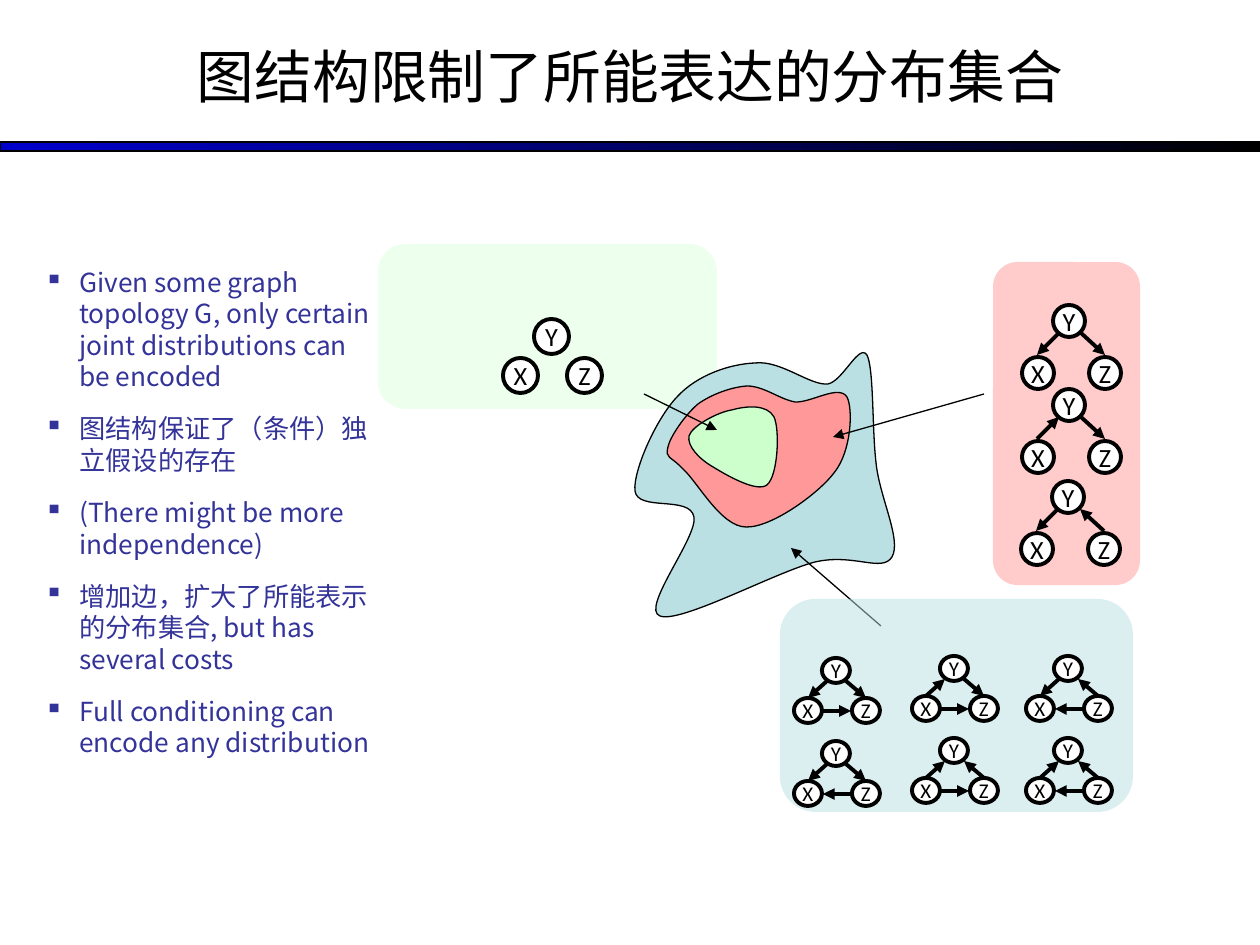
"""Builds a slide on how graph structure limits the distributions it can encode."""
import dataclasses

import pptx
import pptx.dml.color
import pptx.enum.dml
import pptx.enum.shapes
import pptx.enum.text
import pptx.oxml
import pptx.oxml.ns
import pptx.util

EMU_PER_PX = 914400 / 126
SHAPE = pptx.enum.shapes.MSO_SHAPE
ALIGN = pptx.enum.text.PP_ALIGN
ANCHOR = pptx.enum.text.MSO_ANCHOR


@dataclasses.dataclass(frozen=True)
class Theme:
    """Colours, fonts, type sizes and line widths of the slide."""
    black: str = "000000"
    white: str = "FFFFFF"
    blue: str = "0000CC"
    ink: str = "333399"
    green: str = "CCFFCC"
    red: str = "FF9999"
    teal: str = "BBE0E3"
    text_font: str = "Noto Sans CJK SC"
    node_font: str = "Calibri"
    title_size: int = 33
    body_size: int = 15
    small_size: int = 12
    leading: int = 18
    thin: float = 0.75
    thick: float = 2.25


@dataclasses.dataclass(frozen=True)
class GraphStyle:
    """Node size, node offsets and edge offsets of a three-node graph."""
    node: tuple
    offsets: dict
    edges: tuple
    size: int


THEME = Theme()

BULLETS = (
    "Given some graph topology G, only certain joint distributions can be encoded",
    "图结构保证了（条件）独立假设的存在",
    "(There might be more independence)",
    "增加边，扩大了所能表示的分布集合, but has several costs",
    "Full conditioning can encode any distribution",
)

REGIONS = (
    (THEME.teal, [
        (828, 384), (810, 386), (781, 360), (755, 363), (730, 364), (697, 375), (677, 397),
        (656, 419), (633, 471), (635, 491), (638, 512), (690, 495), (694, 517),
        (698, 537), (640, 609), (660, 616), (680, 624), (776, 572), (815, 562),
        (854, 553), (882, 573), (892, 557), (902, 540), (879, 496), (876, 462),
        (872, 428), (874, 369), (867, 355), (859, 343), (843, 381), (828, 384)]),
    (THEME.red, [
        (683, 469), (697, 481), (721, 527), (746, 527), (771, 528), (818, 494), (834, 473),
        (852, 451), (853, 408), (847, 397), (839, 384), (811, 403), (795, 402),
        (779, 399), (764, 386), (747, 386), (732, 387), (712, 394), (698, 404),
        (685, 415), (670, 437), (668, 447), (665, 459), (670, 455), (683, 469)]),
    (THEME.green, [
        (732, 410), (718, 412), (692, 426), (689, 436), (687, 446), (699, 459), (713, 467),
        (726, 475), (757, 493), (767, 485), (778, 476), (780, 430), (774, 417),
        (767, 404), (746, 406), (732, 410)]),
)

POINTERS = ((644, 394, 717, 430), (881, 626, 791, 548), (984, 394, 833, 437))

EMPTY_GRAPH = GraphStyle((35, 35), {"X": (0, 39), "Y": (31, 0), "Z": (64, 39)},
                         (), THEME.body_size)
CHAIN_GRAPH = GraphStyle((32, 32), {"X": (0, 52), "Y": (31, 0), "Z": (67, 52)},
                         ((37, 28, 15, 50), (59, 28, 83, 50)), THEME.body_size)
FULL_GRAPH = GraphStyle((28, 25), {"X": (0, 40), "Y": (28, 0), "Z": (58, 40)},
                        ((33, 23, 14, 40), (52, 23, 72, 40), (29, 53, 57, 53)),
                        THEME.small_size)

EMPTY_GRAPHS = ((503, 319, ""),)
CHAIN_GRAPHS = ((1022, 305, ">>"), (1022, 389, "<>"), (1021, 481, "><"))
FULL_GRAPHS = (
    (794, 658, ">>>"), (912, 656, "<>>"), (1026, 656, "><<"),
    (794, 741, ">><"), (912, 738, "<<>"), (1026, 738, "<<<"),
)


def px(*lengths):
    """Turn pixel lengths into EMU."""
    return [pptx.util.Emu(round(length * EMU_PER_PX)) for length in lengths]


def rgb(value):
    """Return a colour object."""
    return pptx.dml.color.RGBColor.from_string(value)


def add_xml(parent, tag, **attributes):
    """Append a DrawingML element to its parent."""
    element = pptx.oxml.parse_xml(f"<{tag} {pptx.oxml.ns.nsdecls('a')}/>")
    for name, value in attributes.items():
        element.set(name, str(value))
    parent.append(element)
    return element


def write_text(para, text, *, size, font=THEME.text_font, color=THEME.black,
               align=ALIGN.CENTER):
    """Write one formatted run into a paragraph."""
    para.alignment = align
    span = para.add_run()
    span.text = text
    span.font.size = pptx.util.Pt(size)
    span.font.name = font
    span.font.color.rgb = rgb(color)
    add_xml(span.font._element, "a:ea", typeface=font)


def style_shape(shape, color, line=None, opacity=None):
    """Set fill, outline and opacity of a shape without shadow."""
    shape.shadow.inherit = False
    shape.fill.solid()
    shape.fill.fore_color.rgb = rgb(color)
    if opacity:
        color_node = next(shape._element.spPr.iter(pptx.oxml.ns.qn("a:srgbClr")))
        add_xml(color_node, "a:alpha", val=opacity * 1000)
    if line:
        shape.line.color.rgb = rgb(THEME.black)
        shape.line.width = pptx.util.Pt(line)
    else:
        shape.line.fill.background()


def add_arrow(shapes, ends, width, end="tailEnd"):
    """Draw a straight line with an arrowhead at one end."""
    arrow = shapes.add_connector(pptx.enum.shapes.MSO_CONNECTOR.STRAIGHT, *px(*ends))
    arrow.line.color.rgb = rgb(THEME.black)
    arrow.line.width = pptx.util.Pt(width)
    add_xml(arrow.line._get_or_add_ln(), f"a:{end}", type="triangle")
    add_xml(arrow._element.spPr, "a:effectLst")


def add_region(shapes, color, points):
    """Draw a closed outline of cubic curves."""
    builder = shapes.build_freeform(*points[0], scale=EMU_PER_PX)
    builder.add_line_segments(points[1:])
    region = builder.convert_to_shape()
    style_shape(region, color, THEME.thin)
    segments = list(region._element.iter(pptx.oxml.ns.qn("a:lnTo")))
    for start in range(0, len(segments), 3):
        curve = add_xml(segments[start].getparent(), "a:cubicBezTo")
        segments[start].addprevious(curve)
        for segment in segments[start:start + 3]:
            curve.append(segment[0])
            segment.getparent().remove(segment)


def add_graph(shapes, left, top, directions, style):
    """Draw nodes X, Y and Z and their directed edges."""
    for name, (across, down) in style.offsets.items():
        node = shapes.add_shape(SHAPE.OVAL, *px(left + across, top + down, *style.node))
        style_shape(node, THEME.white, THEME.thick)
        frame = node.text_frame
        frame.word_wrap = False
        frame.vertical_anchor = ANCHOR.MIDDLE
        write_text(frame.paragraphs[0], name, size=style.size, font=THEME.node_font)
    for (x1, y1, x2, y2), direction in zip(style.edges, directions):
        add_arrow(shapes, (left + x1, top + y1, left + x2, top + y2), THEME.thick,
                  "tailEnd" if direction == ">" else "headEnd")


def add_panel(slide, bounds, color, opacity, style, graphs):
    """Group a translucent rounded panel with its graphs."""
    shapes = slide.shapes.add_group_shape().shapes
    panel = shapes.add_shape(SHAPE.ROUNDED_RECTANGLE, *px(*bounds))
    style_shape(panel, color, opacity=opacity)
    for left, top, directions in graphs:
        add_graph(shapes, left, top, directions, style)


def add_title(slide, text):
    """Place the title and the gradient bar below it."""
    bar = slide.shapes.add_shape(SHAPE.RECTANGLE, *px(0, 142, 1260, 9))
    style_shape(bar, THEME.blue, THEME.thin)
    bar.fill.gradient()
    bar.fill.gradient_angle = 0
    for stop, color in zip(bar.fill.gradient_stops, (THEME.blue, THEME.black)):
        stop.color.rgb = rgb(color)
    title = slide.shapes.title
    title.left, title.top, title.width, title.height = px(0, -4, 1260, 158)
    title.text_frame.vertical_anchor = ANCHOR.MIDDLE
    write_text(title.text_frame.paragraphs[0], text, size=THEME.title_size)


def add_bullets(slide, bounds, items):
    """Place the bulleted list."""
    frame = slide.shapes.add_textbox(*px(*bounds)).text_frame
    frame.word_wrap = True
    for index, item in enumerate(items):
        para = frame.add_paragraph() if index else frame.paragraphs[0]
        properties = para._p.get_or_add_pPr()
        indent = px(35)[0]
        properties.set("marL", str(indent))
        properties.set("indent", str(-indent))
        add_xml(add_xml(properties, "a:buClr"), "a:srgbClr", val=THEME.ink)
        add_xml(properties, "a:buChar", char="▪")
        para.line_spacing = pptx.util.Pt(THEME.leading)
        if index:
            para.space_before = pptx.util.Pt(11.75)
        write_text(para, item, size=THEME.body_size, color=THEME.ink, align=ALIGN.LEFT)


def main():
    """Build and save the deck."""
    deck = pptx.Presentation()
    deck.slide_width, deck.slide_height = px(1260, 945)
    slide = deck.slides.add_slide(deck.slide_layouts[5])
    add_title(slide, "图结构限制了所能表达的分布集合")
    add_panel(slide, (378, 244, 339, 165), THEME.green, 34, EMPTY_GRAPH, EMPTY_GRAPHS)
    add_bullets(slide, (32, 260, 355, 640), BULLETS)
    for color, points in REGIONS:
        add_region(slide.shapes, color, points)
    for ends in POINTERS:
        add_arrow(slide.shapes, ends, THEME.thin)
    add_panel(slide, (993, 262, 147, 323), THEME.red, 50, CHAIN_GRAPH, CHAIN_GRAPHS)
    add_panel(slide, (780, 599, 353, 213), THEME.teal, 50, FULL_GRAPH, FULL_GRAPHS)
    deck.save("out.pptx")


if __name__ == "__main__":
    main()
